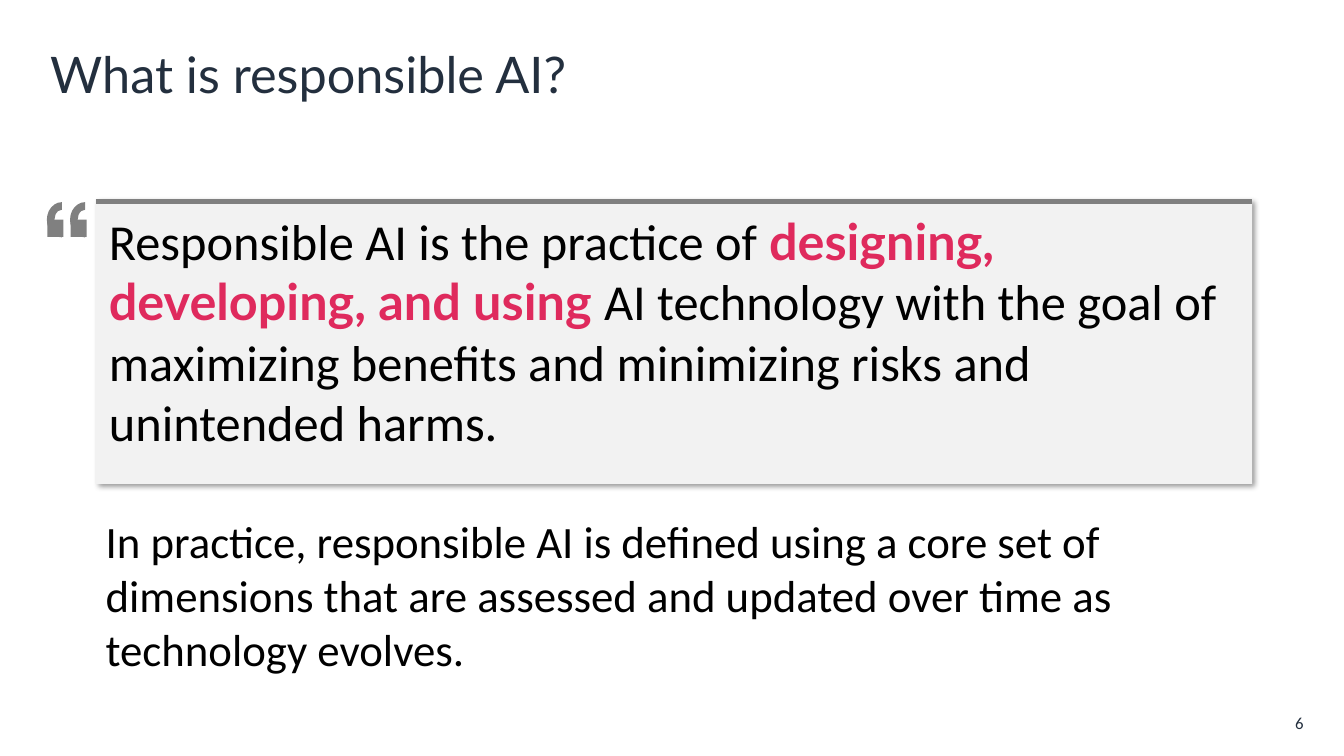
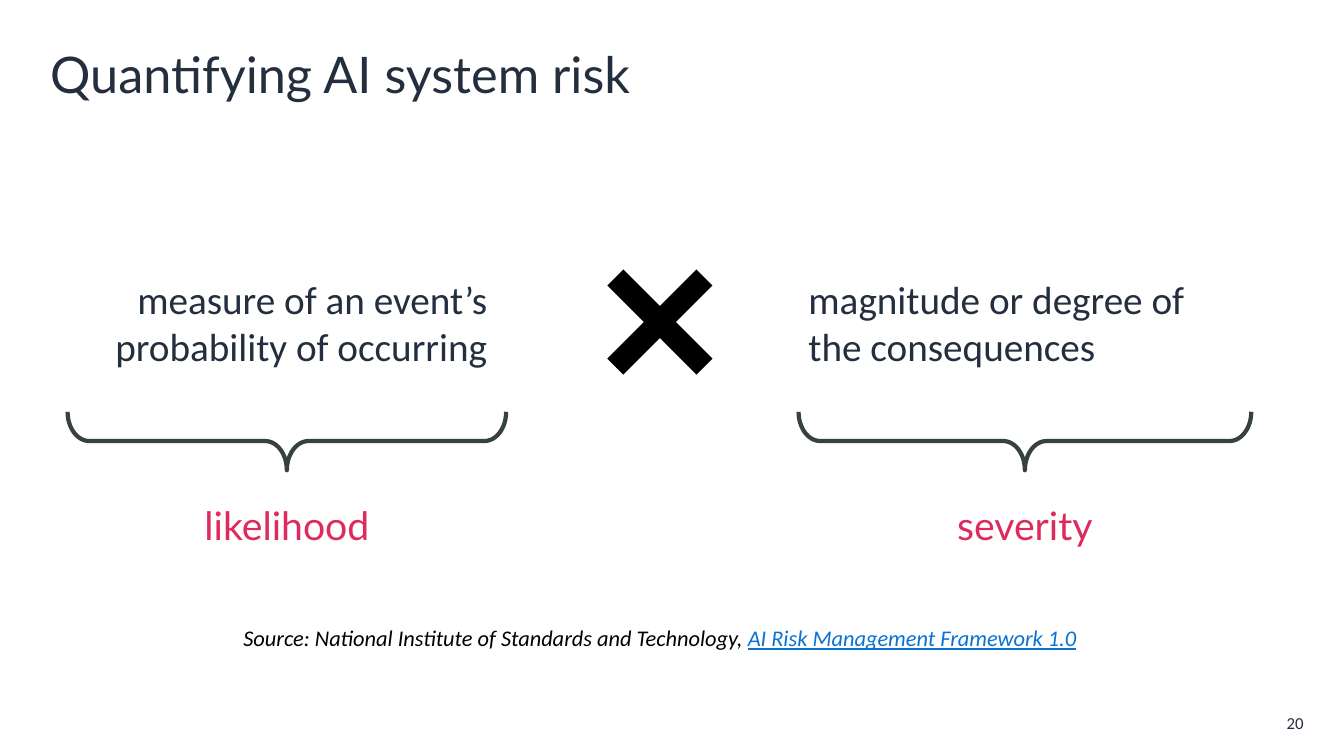
from dataclasses import dataclass
from lxml import etree
from pptx import Presentation
from pptx.dml.color import RGBColor
from pptx.enum import shapes, text
from pptx.oxml import ns
from pptx.util import Inches, Pt

LEFT, CENTER, RIGHT = text.PP_ALIGN.LEFT, text.PP_ALIGN.CENTER, text.PP_ALIGN.RIGHT
TOP, MIDDLE = text.MSO_ANCHOR.TOP, text.MSO_ANCHOR.MIDDLE
KIND = shapes.MSO_SHAPE


@dataclass(frozen=True)
class Theme:
    width = 13.33
    height = 7.5
    margin = 0.4
    heading = "Lato"
    body = "Calibri"
    navy = "232F3E"
    black = "000000"
    pink = "DF2A5D"
    gray = "808080"
    panel = "F2F2F2"
    brace = "384141"
    link = "0972D3"
    title_size = 36
    quote_size = 36
    practice_size = 32
    factor_size = 28
    source_size = 16
    number_size = 12
    line = 3


THEME = Theme()

DEFINITION = {
    "title": "What is responsible AI?",
    "number": 6,
    "quote": [
        ("Responsible AI is the practice of ", {}),
        ("designing, developing, and using ",
         {"font": THEME.heading, "color": THEME.pink, "bold": True}),
        ("AI technology with the goal of maximizing benefits and minimizing "
         "risks and unintended harms.", {}),
    ],
    "practice": "In practice, responsible AI is defined using a core set of dimensions "
                "that are assessed and updated over time as technology evolves.",
}
RISK = {
    "title": "Quantifying AI system risk",
    "number": 20,
    "factors": [
        {"meaning": "measure of an event’s probability of occurring", "name": "likelihood",
         "align": RIGHT, "left": 0.67, "width": 4.35, "shift": -0.09},
        {"meaning": "magnitude or degree of the consequences", "name": "severity",
         "align": LEFT, "left": 7.92, "width": 4.49, "shift": 0},
    ],
    "source": [
        ("Source: National Institute of Standards and Technology, ", {"italic": True}),
        ("AI Risk Management Framework 1.0",
         {"italic": True, "underline": True, "color": THEME.link}),
    ],
}


def inches(*lengths):
    return [Inches(length) for length in lengths]


def write(box, spans, size, font=THEME.body, color=THEME.black, align=LEFT,
          anchor=TOP, insets=(0.1, 0.05, 0.1, 0.05)):
    frame = box.text_frame
    frame.word_wrap = True
    frame.vertical_anchor = anchor
    (frame.margin_left, frame.margin_top,
     frame.margin_right, frame.margin_bottom) = inches(*insets)
    para = frame.paragraphs[0]
    para.alignment = align
    for words, style in [(spans, {})] if isinstance(spans, str) else spans:
        span = para.add_run()
        span.text = words
        span.font.size = Pt(size)
        span.font.name = style.get("font", font)
        span.font.color.rgb = RGBColor.from_string(style.get("color", color))
        span.font.bold = style.get("bold")
        span.font.italic = style.get("italic")
        span.font.underline = style.get("underline")


def add_text(page, area, spans, size, **style):
    write(page.shapes.add_textbox(*inches(*area)), spans, size, **style)


def add_figure(parent, kind, area, fill=None, line=None, rotation=0):
    figure = parent.shapes.add_shape(kind, *inches(*area))
    figure.shadow.inherit = False
    figure.rotation = rotation
    if fill:
        figure.fill.solid()
        figure.fill.fore_color.rgb = RGBColor.from_string(fill)
    else:
        figure.fill.background()
    if line:
        figure.line.color.rgb = RGBColor.from_string(line)
        figure.line.width = Pt(THEME.line)
    else:
        figure.line.fill.background()
    return figure


def cast_shadow(figure):
    effects = figure._element.spPr.find(ns.qn("a:effectLst"))
    shadow = etree.SubElement(effects, ns.qn("a:outerShdw"), blurRad=str(Pt(4)),
                              dist=str(Pt(3)), dir=str(45 * 60000), algn="tl", rotWithShape="0")
    color = etree.SubElement(shadow, ns.qn("a:srgbClr"), val=THEME.black)
    etree.SubElement(color, ns.qn("a:alpha"), val="40000")


def add_page(deck, content):
    page = deck.slides.add_slide(deck.slide_layouts[6])
    width = THEME.width - 2 * THEME.margin
    add_text(page, (THEME.margin, 0.33, width, 0.8), content["title"], THEME.title_size,
             font=THEME.heading, color=THEME.navy, anchor=MIDDLE)
    add_text(page, (THEME.margin + width - 0.53, 7.05, 0.53, 0.25), str(content["number"]),
             THEME.number_size, color=THEME.navy, align=RIGHT, anchor=MIDDLE,
             insets=(0, 0, 0, 0))
    return page


def build_definition(deck, content):
    page = add_page(deck, content)
    left, width = 0.95, 11.47
    group = page.shapes.add_group_shape()
    panel = add_figure(group, KIND.RECTANGLE, (left, 1.98, width, 2.82), THEME.panel)
    cast_shadow(panel)
    write(panel, content["quote"], THEME.quote_size, insets=(0.13, 0.1, 0.1, 0.05))
    rule = group.shapes.add_connector(shapes.MSO_CONNECTOR.STRAIGHT,
                                      *inches(left, 2, left + width, 2))
    rule.line.color.rgb = RGBColor.from_string(THEME.gray)
    rule.line.width = Pt(THEME.line)
    etree.SubElement(rule._element.spPr, ns.qn("a:effectLst"))
    for mark in (0.7, 0.47):
        add_figure(group, KIND.RECTANGLE, (mark, 2.18, 0.16, 0.17), THEME.gray)
        add_figure(group, KIND.BLOCK_ARC, (mark - 0.03, 2.03, 0.35, 0.3), THEME.gray,
                   rotation=270)
    add_text(page, (left, 5.05, width, 1.72), content["practice"], THEME.practice_size)


def build_risk(deck, content):
    page = add_page(deck, content)
    depth, middle = 0.58, 4.375
    for factor in content["factors"]:
        left, width = factor["left"], factor["width"]
        add_text(page, (left + factor["shift"], 2.65, width, 1.1), factor["meaning"],
                 THEME.factor_size, color=THEME.navy, align=factor["align"], anchor=MIDDLE)
        brace = add_figure(page, KIND.LEFT_BRACE,
                           (left + (width - depth) / 2, middle - width / 2, depth, width),
                           line=THEME.brace, rotation=270)
        brace.adjustments[0] = 0.37
        add_text(page, (left, 4.63, width, 1.16), factor["name"], THEME.factor_size,
                 font=THEME.heading, color=THEME.pink, align=CENTER, anchor=MIDDLE)
    times = add_figure(page, KIND.CROSS, (5.92, 2.57, 1.25, 1.25), THEME.black, rotation=45)
    times.adjustments[0] = 0.41
    add_text(page, (1.72, 6.14, 9.65, 0.37), content["source"], THEME.source_size, align=CENTER)


def main():
    deck = Presentation()
    deck.slide_width, deck.slide_height = inches(THEME.width, THEME.height)
    build_definition(deck, DEFINITION)
    build_risk(deck, RISK)
    deck.save("out.pptx")


if __name__ == "__main__":
    main()
